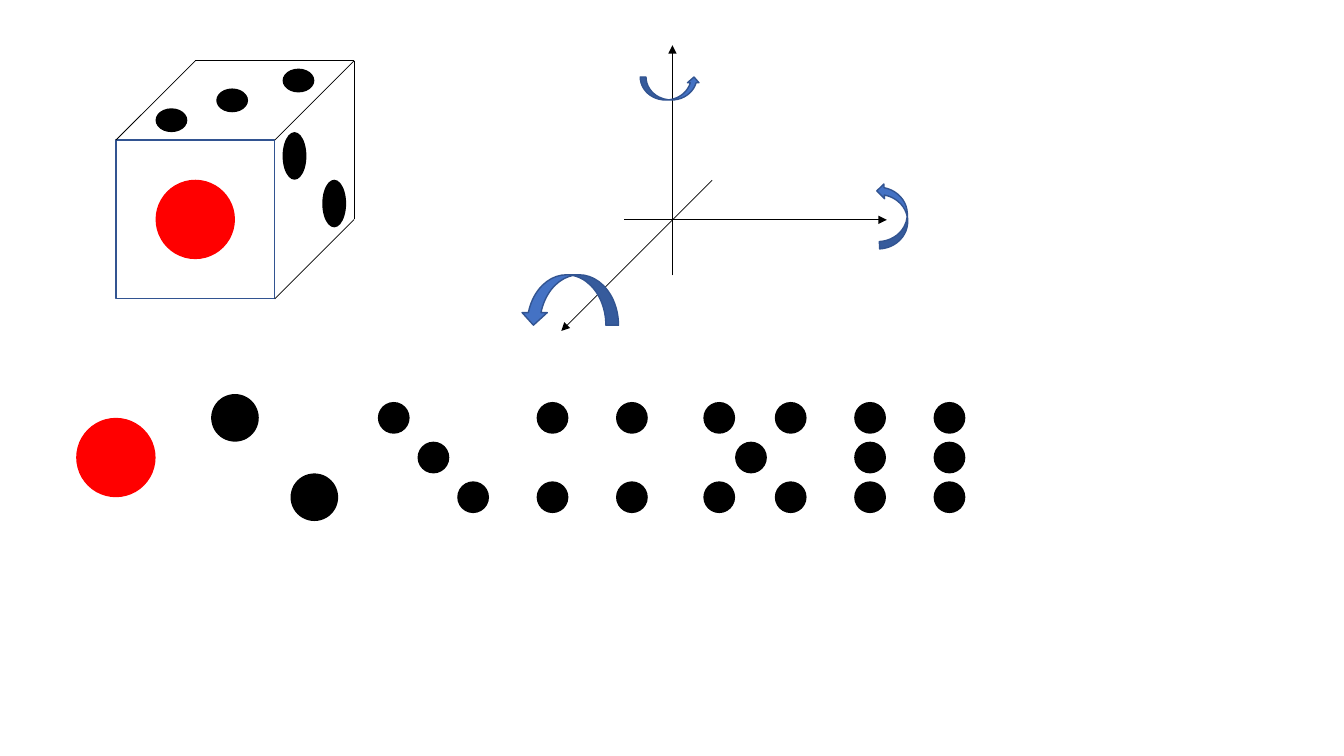
from lxml.etree import SubElement
from pptx import Presentation
from pptx.dml.color import RGBColor
from pptx.enum.shapes import MSO_CONNECTOR, MSO_SHAPE
from pptx.oxml.ns import qn
from pptx.util import Cm, Inches, Pt

COLORS = {"ink": "000000", "ace": "FF0000", "arrow": "4472C4", "edge": "325491"}

# All lengths are cells of a 1 cm grid; each region is placed from its own origin.
CUBE_ORIGIN = (2.92, 1.53)
FACES_ORIGIN = (2.92, 10.53)
AXES_ORIGIN = (16.94, 5.54)

FACE, DEPTH = 4, 2
ACE_SIZE, TWO_SIZE, PIP_SIZE = 2, 1.2, 0.8


def add_centred(shapes, kind, origin, centre, size, fill=None, line=None, rotation=0):
    """Add a preset shape whose centre is given relative to the origin."""
    left, top = (o + c - s / 2 for o, c, s in zip(origin, centre, size))
    shape = shapes.add_shape(kind, Cm(left), Cm(top), Cm(size[0]), Cm(size[1]))
    shape.shadow.inherit = False
    shape.rotation = rotation
    if fill:
        shape.fill.solid()
        shape.fill.fore_color.rgb = RGBColor.from_string(COLORS[fill])
    else:
        shape.fill.background()
    if line:
        shape.line.color.rgb = RGBColor.from_string(COLORS[line])
        shape.line.width = Pt(1)
    else:
        shape.line.fill.background()


def add_pip(shapes, origin, centre, width, height=None, fill="ink"):
    add_centred(shapes, MSO_SHAPE.OVAL, origin, centre, (width, height or width), fill)


def add_edge(shapes, origin, start, end, arrow=False):
    x, y = origin
    edge = shapes.add_connector(MSO_CONNECTOR.STRAIGHT, Cm(x + start[0]), Cm(y + start[1]),
                                Cm(x + end[0]), Cm(y + end[1]))
    edge.line.color.rgb = RGBColor.from_string(COLORS["ink"])
    edge.line.width = Pt(0.5)
    if arrow:
        SubElement(edge.line._get_or_add_ln(), qn("a:tailEnd"), type="triangle")
    SubElement(edge._element.spPr, qn("a:effectLst"))


def draw_cube(shapes, origin):
    full = FACE + DEPTH
    back_left, back_right, back_bottom = (DEPTH, 0), (full, 0), (full, FACE)
    front_left, front_right, front_bottom = (0, DEPTH), (FACE, DEPTH), (FACE, full)
    front_centre = (FACE / 2, DEPTH + FACE / 2)

    add_centred(shapes, MSO_SHAPE.RECTANGLE, origin, front_centre, (FACE, FACE), line="edge")
    for start, end in ((back_right, back_bottom), (back_right, back_left),
                       (back_left, front_left), (back_right, front_right),
                       (back_bottom, front_bottom)):
        add_edge(shapes, origin, start, end)

    add_pip(shapes, origin, front_centre, ACE_SIZE, fill="ace")
    for centre in ((1.4, 1.5), (4.6, 0.5), (2.93, 1)):
        add_pip(shapes, origin, centre, 0.8, 0.6)
    for centre in ((4.5, 2.4), (5.5, 3.6)):
        add_pip(shapes, origin, centre, 0.6, 1.2)


def draw_faces(shapes, origin):
    """Draw the six faces of the die in a row."""
    add_pip(shapes, origin, (0, 1), ACE_SIZE, fill="ace")
    for centre in ((3, 0), (5, 2)):
        add_pip(shapes, origin, centre, TWO_SIZE)

    three = [(7 + step, step) for step in range(3)]
    four = [(column, row) for column in (11, 13) for row in (0, 2)]
    five = [(column, row) for column in (15.2, 17) for row in (0, 2)] + [(16, 1)]
    six = [(column, row) for column in (19, 21) for row in range(3)]
    for centre in three + four + five + six:
        add_pip(shapes, origin, centre, PIP_SIZE)


def draw_axes(shapes, origin):
    """Draw the three axes, each with its turning arrow."""
    axes = shapes.add_group_shape().shapes
    for start, end in (((1, -1), (-2.8, 2.8)),
                       ((-1.22, 0), (5.4, 0)),
                       ((0, 1.4), (0, -4.4))):
        add_edge(axes, origin, start, end, arrow=True)
    for centre, size, rotation in (((-2.59, 2.02), (1.27, 2.46), 90),
                                   ((5.55, -0.11), (0.74, 1.65), 177.2),
                                   ((-0.06, -3.31), (0.58, 1.5), 270)):
        add_centred(axes, MSO_SHAPE.CURVED_RIGHT_ARROW, origin, centre, size,
                    "arrow", "edge", rotation)


def main():
    deck = Presentation()
    deck.slide_width, deck.slide_height = Inches(13.33), Inches(7.5)
    shapes = deck.slides.add_slide(deck.slide_layouts[6]).shapes
    draw_cube(shapes, CUBE_ORIGIN)
    draw_faces(shapes, FACES_ORIGIN)
    draw_axes(shapes, AXES_ORIGIN)
    deck.save("out.pptx")


if __name__ == "__main__":
    main()
